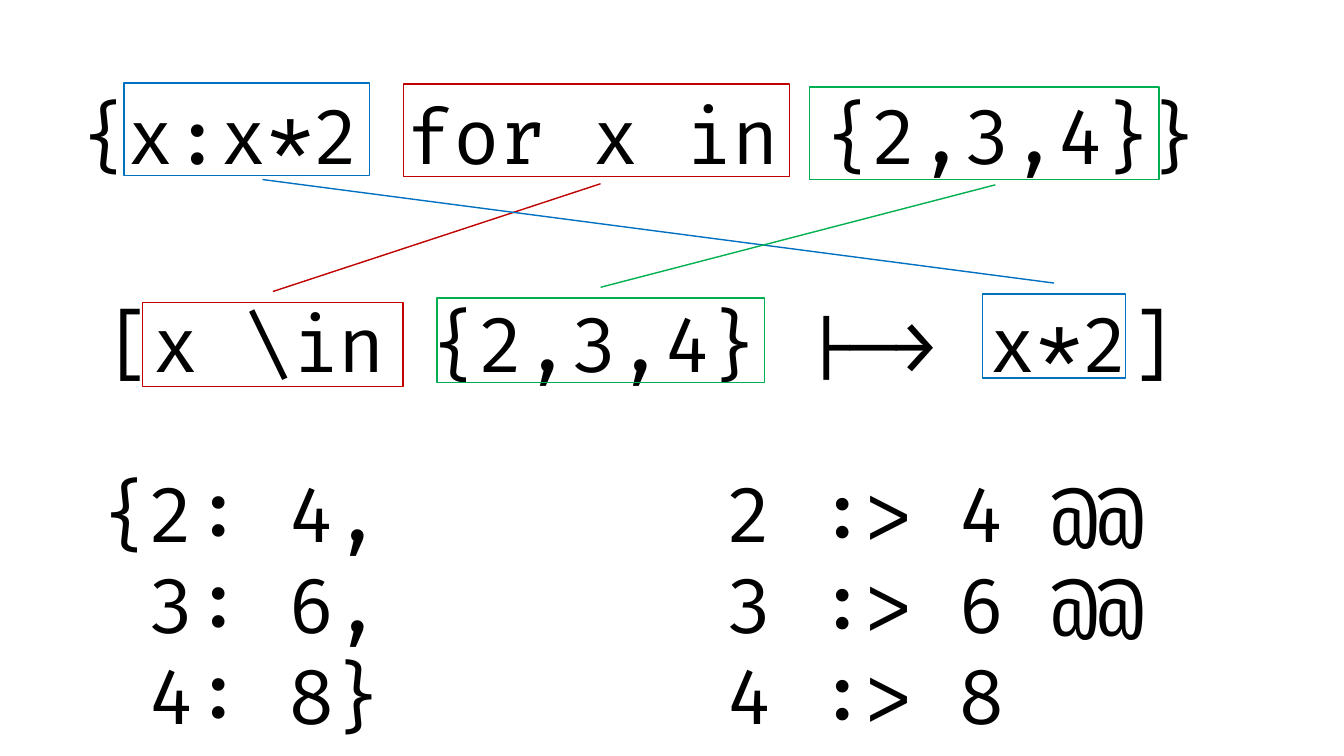
from dataclasses import dataclass

from pptx import Presentation
from pptx.dml.color import RGBColor
from pptx.enum.shapes import MSO_SHAPE
from pptx.enum.text import MSO_ANCHOR, MSO_AUTO_SIZE, PP_ALIGN
from pptx.shapes.autoshape import Shape
from pptx.slide import Slide
from pptx.util import Pt

EMU_PER_PX = 9525
SLIDE_WIDTH, SLIDE_HEIGHT = 1280, 720
BLANK_LAYOUT = 6
RECTANGLE = MSO_SHAPE.RECTANGLE
LINE_CALLOUT = MSO_SHAPE.LINE_CALLOUT_1
FIT_SHAPE = MSO_AUTO_SIZE.SHAPE_TO_FIT_TEXT
TOP = MSO_ANCHOR.TOP
LEFT = PP_ALIGN.LEFT
LEADER_START_X, LEADER_START_Y = 0.5, -0.13


@dataclass(frozen=True)
class Theme:
    font: str = "Fira Code"
    code_size: int = 54
    outline_width: int = 1
    ink: RGBColor = RGBColor(0x00, 0x00, 0x00)
    binder: RGBColor = RGBColor(0xC0, 0x00, 0x00)
    result: RGBColor = RGBColor(0x00, 0x70, 0xC0)
    domain: RGBColor = RGBColor(0x00, 0xB0, 0x50)


@dataclass(frozen=True)
class Box:
    left: int
    top: int
    width: int
    height: int

    def emu(self) -> tuple[int, ...]:
        return tuple(px * EMU_PER_PX for px in (self.left, self.top, self.width, self.height))


@dataclass(frozen=True)
class Code:
    box: Box
    lines: tuple[str, ...]
    wrap: bool = False


@dataclass(frozen=True)
class Match:
    color: RGBColor
    python_part: Box
    tla_part: Box
    leader_end: tuple[int, int]


THEME = Theme()

CODE = (
    Code(Box(68, 80, 1093, 97), ("{x:x*2 for x in {2,3,4}}",)),
    Code(Box(88, 440, 288, 272), ("{2: 4,", " 3: 6,", " 4: 8}")),
    Code(Box(92, 278, 1064, 97), ("[x \\in {2,3,4} |-> x*2]",), wrap=True),
    Code(Box(682, 440, 422, 272), ("2 :> 4 @@", "3 :> 6 @@", "4 :> 8")),
)

MATCHES = (
    Match(THEME.binder, Box(384, 80, 368, 88), Box(136, 288, 248, 80), (572, 175)),
    Match(THEME.result, Box(118, 79, 234, 88), Box(936, 280, 136, 80), (250, 171)),
    Match(THEME.domain, Box(771, 83, 333, 88), Box(416, 284, 312, 80), (948, 176)),
)


def draw_code(slide: Slide, code: Code) -> None:
    frame = slide.shapes.add_textbox(*code.box.emu()).text_frame
    frame.word_wrap = code.wrap
    frame.auto_size = FIT_SHAPE
    frame.vertical_anchor = TOP
    frame.text = "\n".join(code.lines)
    for paragraph in frame.paragraphs:
        paragraph.alignment = LEFT
        paragraph.font.name = THEME.font
        paragraph.font.size = Pt(THEME.code_size)
        paragraph.font.color.rgb = THEME.ink


def outline(shape: Shape, color: RGBColor) -> None:
    shape.shadow.inherit = False
    shape.fill.background()
    shape.line.color.rgb = color
    shape.line.width = Pt(THEME.outline_width)


def draw_match(slide: Slide, match: Match) -> None:
    pair = slide.shapes.add_group_shape().shapes
    tla = match.tla_part
    end_x, end_y = match.leader_end
    callout = pair.add_shape(LINE_CALLOUT, *tla.emu())
    leader = (
        LEADER_START_Y,
        LEADER_START_X,
        (end_y - tla.top) / tla.height,
        (end_x - tla.left) / tla.width,
    )
    for index, fraction in enumerate(leader):
        callout.adjustments[index] = fraction
    outline(callout, match.color)
    outline(pair.add_shape(RECTANGLE, *match.python_part.emu()), match.color)


def main() -> None:
    presentation = Presentation()
    presentation.slide_width = SLIDE_WIDTH * EMU_PER_PX
    presentation.slide_height = SLIDE_HEIGHT * EMU_PER_PX
    slide = presentation.slides.add_slide(presentation.slide_layouts[BLANK_LAYOUT])
    for code in CODE:
        draw_code(slide, code)
    for match in MATCHES:
        draw_match(slide, match)
    presentation.save("out.pptx")


if __name__ == "__main__":
    main()
